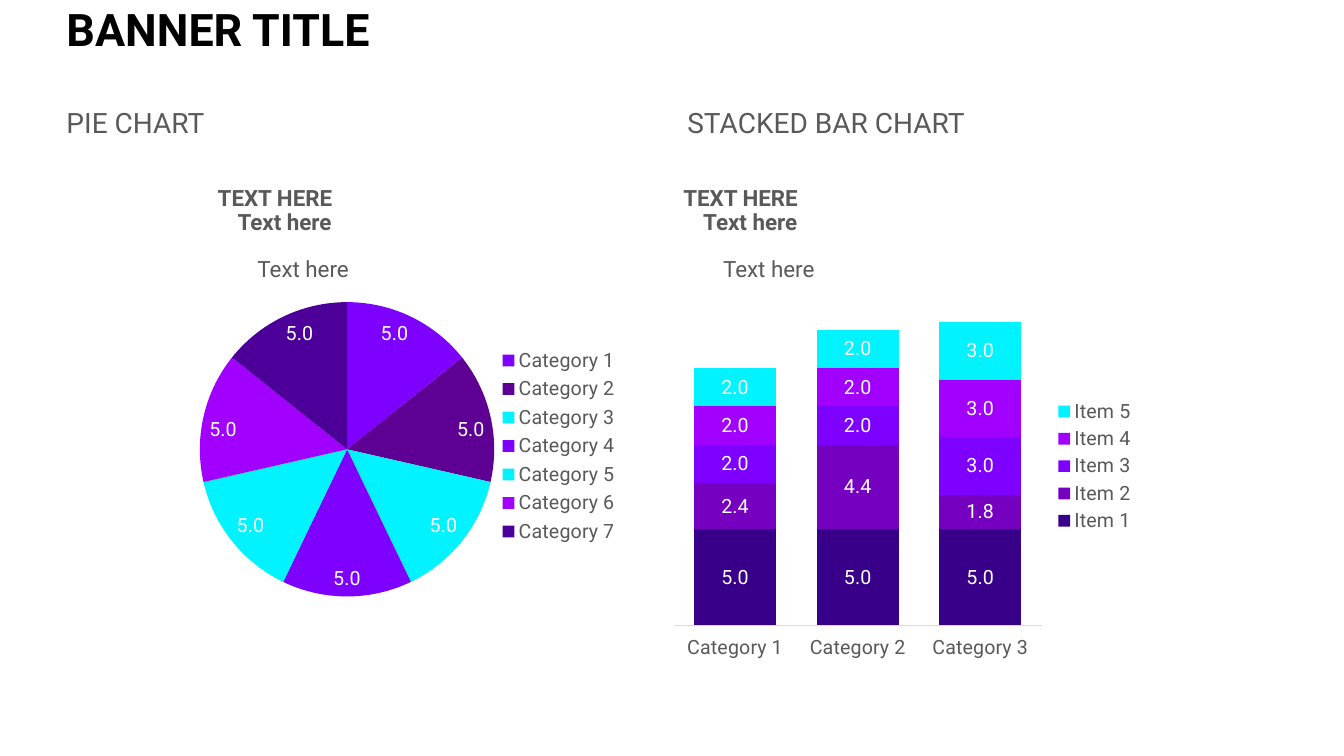
from dataclasses import dataclass

from lxml import etree
from pptx import Presentation
from pptx.chart.data import CategoryChartData
from pptx.dml.color import RGBColor
from pptx.enum.chart import (XL_CHART_TYPE, XL_LABEL_POSITION,
                             XL_LEGEND_POSITION, XL_TICK_LABEL_POSITION,
                             XL_TICK_MARK)
from pptx.enum.text import MSO_ANCHOR
from pptx.oxml.ns import qn
from pptx.util import Pt

PIE = XL_CHART_TYPE.PIE
STACK = XL_CHART_TYPE.COLUMN_STACKED
RIGHT = XL_LEGEND_POSITION.RIGHT
IN_END = XL_LABEL_POSITION.INSIDE_END
CENTER = XL_LABEL_POSITION.CENTER
NO_TICK = XL_TICK_MARK.NONE
LOW = XL_TICK_LABEL_POSITION.LOW
TOP = MSO_ANCHOR.TOP


@dataclass(frozen=True)
class Theme:
    font: str = "Roboto"
    black: str = "000000"
    gray: str = "595959"
    rule: str = "D9D9D9"
    white: str = "FFFFFF"
    slices: tuple = ("7E00FF", "5F0095", "00F3FF", "7E00FF",
                     "00F3FF", "A100FF", "4C0099")
    stack: tuple = ("380089", "7500C0", "7E00FF", "A100FF", "00F3FF")
    title: int = 32
    head: int = 20
    body: int = 16
    chart: int = 14


THEME = Theme()


def style(font, size, color, bold=False):
    font.name = THEME.font
    font.size = Pt(size)
    font.bold = bold
    font.color.rgb = RGBColor.from_string(color)


def paint(fill, color):
    fill.solid()
    fill.fore_color.rgb = RGBColor.from_string(color)


def text_box(slide, box, top=0, bottom=0):
    frame = slide.shapes.add_textbox(*map(Pt, box)).text_frame
    frame.word_wrap = True
    frame.vertical_anchor = TOP
    frame.margin_left = frame.margin_right = 0
    frame.margin_top, frame.margin_bottom = Pt(top), Pt(bottom)
    return frame


# Title and headings: one line each
def add_line(slide, box, text, size, color, space, inset, bold=False):
    par = text_box(slide, box, *inset).paragraphs[0]
    par.text = text
    par.line_spacing = space
    style(par.font, size, color, bold)


# Outline: three levels, each one step further in
def add_outline(slide, box):
    frame = text_box(slide, box, top=3)
    rows = (("TEXT HERE", 0.85, 0, True),
            ("Text here", 0.9, 12, True),
            ("Text here", 1.1, 9, False))
    step = 14.2
    for level, (text, space, after, bold) in enumerate(rows):
        par = frame.paragraphs[0] if level == 0 else frame.add_paragraph()
        par.text = text
        par.level = level
        par.line_spacing = space
        par.space_before, par.space_after = Pt(0), Pt(after)
        style(par.font, THEME.body, THEME.gray, bold)
        props = par._p.get_or_add_pPr()
        props.set("marL", str(Pt(step * (level + 1))))
        props.set("indent", str(Pt(-step)))


# Manual layout, as shares of the chart frame
def set_layout(parent, index, area, inner=False):
    for old in parent.findall(qn("c:layout")):
        parent.remove(old)
    layout = etree.Element(qn("c:layout"))
    parent.insert(index, layout)
    manual = etree.SubElement(layout, qn("c:manualLayout"))
    pairs = [("layoutTarget", "inner")] if inner else []
    pairs += [("xMode", "edge"), ("yMode", "edge")]
    pairs += zip("xywh", map(str, area))
    for name, value in pairs:
        etree.SubElement(manual, qn("c:" + name)).set("val", value)


def add_chart(slide, box, kind, cats, series, plot_area, key_area, place):
    data = CategoryChartData(number_format="0.0")
    data.categories = cats
    for name, values in series:
        data.add_series(name, values)
    chart = slide.shapes.add_chart(kind, *map(Pt, box), data).chart
    chart.has_title = False
    style(chart.font, THEME.chart, THEME.black)
    chart.has_legend = True
    chart.legend.position = RIGHT
    chart.legend.include_in_layout = False
    style(chart.legend.font, THEME.chart, THEME.gray)
    set_layout(chart.element.find(".//" + qn("c:plotArea")), 0,
               plot_area, inner=True)
    set_layout(chart.element.find(".//" + qn("c:legend")), 1, key_area)
    for one in chart.plots[0].series:
        labels = one.data_labels
        labels.show_value = True
        labels.number_format = "0.0"
        labels.number_format_is_linked = False
        labels.position = place
        style(labels.font, THEME.chart, THEME.white)
    return chart


def add_pie(slide, box):
    cats = [f"Category {n}" for n in range(1, 8)]
    chart = add_chart(slide, box, PIE, cats, [("Series 1", [5] * 7)],
                      (0.175, 0.04, 0.45, 0.91), (0.63, 0.17, 0.18, 0.63),
                      IN_END)
    plot = chart.plots[0]
    plot.vary_by_categories = True
    for n, color in enumerate(THEME.slices):
        paint(plot.series[0].points[n].format.fill, color)


def add_stack(slide, box):
    rows = ((5, 5, 5), (2.4, 4.4, 1.8), (2, 2, 3), (2, 2, 3), (2, 2, 3))
    series = [(f"Item {n}", row) for n, row in enumerate(rows, 1)]
    cats = [f"Category {n}" for n in range(1, 4)]
    chart = add_chart(slide, box, STACK, cats, series,
                      (0.02, 0.02, 0.765, 0.89), (0.81, 0.32, 0.17, 0.36),
                      CENTER)
    plot = chart.plots[0]
    plot.vary_by_categories = False
    plot.gap_width, plot.overlap = 50, 100
    for one, color in zip(plot.series, THEME.stack):
        paint(one.format.fill, color)
        one.invert_if_negative = False
    # Axes
    axis = chart.category_axis
    axis.major_tick_mark = axis.minor_tick_mark = NO_TICK
    axis.tick_label_position = LOW
    style(axis.tick_labels.font, THEME.chart, THEME.gray)
    paint(axis.format.line.fill, THEME.rule)
    axis.format.line.width = Pt(0.75)
    scale = chart.value_axis
    scale.minimum_scale, scale.maximum_scale = 0, 18
    scale.has_major_gridlines = False
    scale.visible = False


# One half of the slide: heading, outline and chart
def add_half(slide, box, head, shift, draw, frame):
    left, top, width, height = box
    add_line(slide, (left, top, width, 32.4), head, THEME.head, THEME.gray,
             0.85, (5.76, 2.88))
    add_outline(slide, (left + shift, top + 58.4, 315.4, height - 58.4))
    x, y, w, h = frame
    draw(slide, (left + x, top + y, w, h))


def main():
    deck = Presentation()
    deck.slide_width, deck.slide_height = Pt(960), Pt(540)
    slide = deck.slides.add_slide(deck.slide_layouts[6])
    add_line(slide, (47.5, 8, 864, 57.6), "BANNER TITLE", THEME.title,
             THEME.black, 0.7, (3.6, 0), bold=True)
    add_half(slide, (47.5, 73.4, 420.5, 445), "PIE CHART", 108, add_pie,
             (11.5, 133.2, 472.3, 231.1))
    add_half(slide, (491, 73.4, 420.5, 445), "STACKED BAR CHART", -2.9,
             add_stack, (-16.5, 121, 343.4, 277.2))
    deck.save("out.pptx")


if __name__ == "__main__":
    main()
